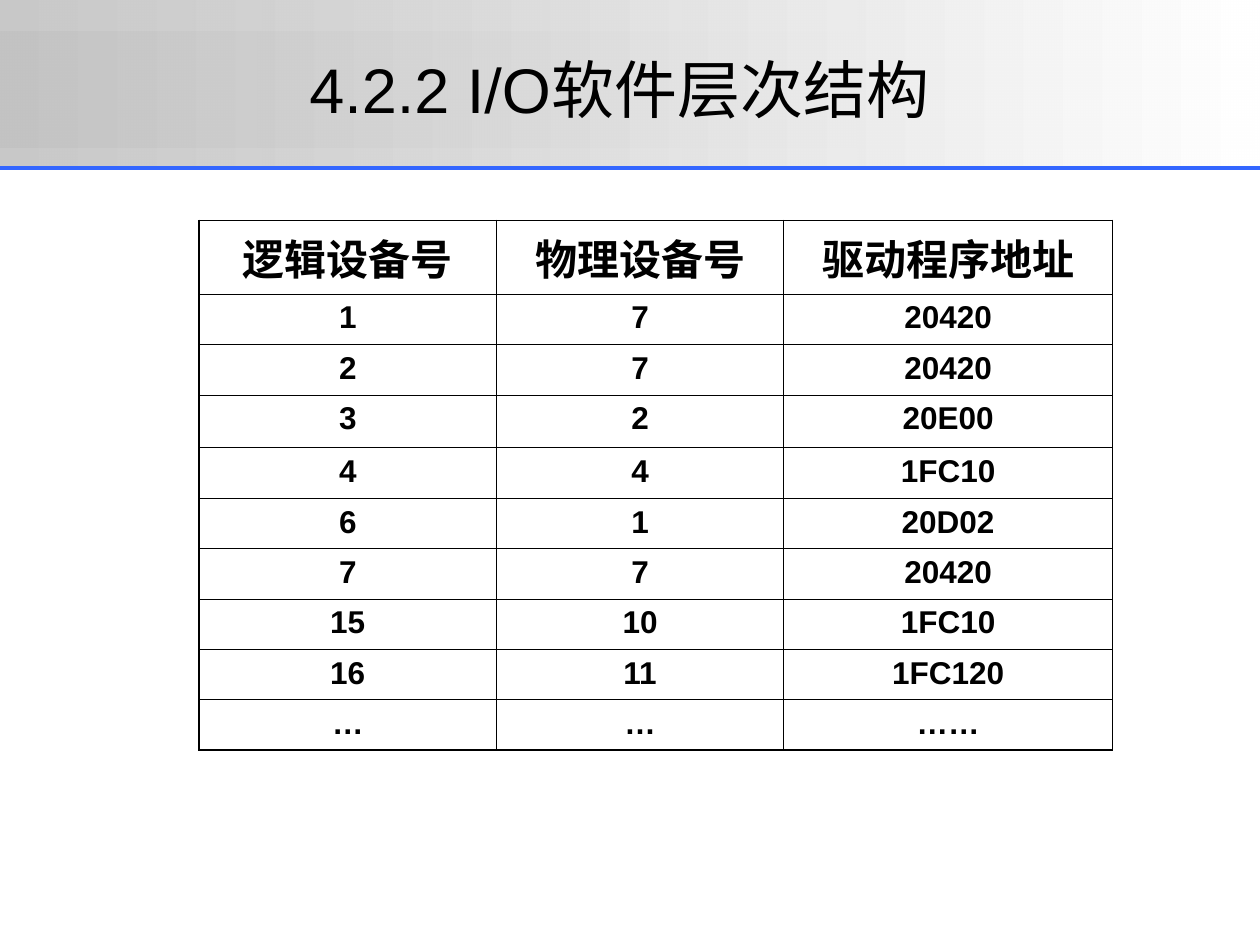
from lxml import etree
from pptx import Presentation, util as u
from pptx.dml import color
from pptx.enum import shapes, text
from pptx.oxml import ns

WIDTH, HEIGHT = 10, 7.5
INK, SILVER, WHITE, BLUE = "000000", "C0C0C0", "FFFFFF", "3366FF"
THIN, OUTER = 0.45, 1.08
COLUMNS = [2.36, 2.28, 2.61]
ROWS = [0.58, 0.4, 0.4, 0.42] + [0.4] * 6
DEVICES = [
    ("逻辑设备号", "物理设备号", "驱动程序地址"),
    ("1", "7", "20420"),
    ("2", "7", "20420"),
    ("3", "2", "20E00"),
    ("4", "4", "1FC10"),
    ("6", "1", "20D02"),
    ("7", "7", "20420"),
    ("15", "10", "1FC10"),
    ("16", "11", "1FC120"),
    ("…", "…", "……"),
]


def rgb(value):
    """Turn a hex string into a colour."""
    return color.RGBColor.from_string(value)


def add_element(parent, tag, index=None, **attributes):
    """Put a drawing element into its parent, last unless an index is given."""
    element = etree.Element(ns.qn(tag), **attributes)
    parent.insert(len(parent) if index is None else index, element)
    return element


class Deck:
    """Hold the style and the current slide."""

    def __init__(self, font="Arial"):
        """Start a presentation with one title-only slide."""
        self.font = font
        self.presentation = Presentation()
        self.presentation.slide_width = u.Inches(WIDTH)
        self.presentation.slide_height = u.Inches(HEIGHT)
        self.slide = self.presentation.slides.add_slide(self.presentation.slide_layouts[5])

    def box(self, left, top, width, height):
        """Convert shares of the slide's size into lengths."""
        return (u.Inches(left * WIDTH), u.Inches(top * HEIGHT),
                u.Inches(width * WIDTH), u.Inches(height * HEIGHT))

    def set_text(self, frame, words, size, bold=False):
        """Fill a frame with one centred paragraph."""
        frame.text = words
        paragraph = frame.paragraphs[0]
        paragraph.alignment = text.PP_ALIGN.CENTER
        paragraph.font.name = self.font
        paragraph.font.size = u.Pt(size)
        paragraph.font.bold = bold
        paragraph.font.color.rgb = rgb(INK)

    def band(self, top, height, opacity):
        """Draw a full-width band fading from silver to white."""
        band = self.slide.shapes.add_shape(
            shapes.MSO_SHAPE.RECTANGLE, *self.box(0, top, 1, height))
        band.shadow.inherit = False
        band.line.fill.background()
        band.fill.gradient()
        band.fill.gradient_angle = 0
        for stop, position, shade in zip(band.fill.gradient_stops, (0, 1), (SILVER, WHITE)):
            stop.position = position
            stop.color.rgb = rgb(shade)
        silver = band.element.spPr.find(".//" + ns.qn("a:srgbClr"))
        add_element(silver, "a:alpha", val=str(opacity * 1000))

    def rule(self, top, shade, weight):
        """Draw a line across the slide."""
        left, y, width, _ = self.box(0, top, 1, 0)
        rule = self.slide.shapes.add_connector(
            shapes.MSO_CONNECTOR.STRAIGHT, left, y, left + width, y)
        rule.line.color.rgb = rgb(shade)
        rule.line.width = u.Pt(weight)
        add_element(rule.element.spPr, "a:effectLst")

    def title(self, words, left, top, width, height):
        """Place the title in front of the bands."""
        title = self.slide.shapes.title
        title.left, title.top, title.width, title.height = self.box(left, top, width, height)
        title.text_frame.vertical_anchor = text.MSO_ANCHOR.MIDDLE
        self.set_text(title.text_frame, words, 36)
        title.element.getparent().append(title.element)

    def borders(self, cell, weights):
        """Draw the left, right, top and bottom borders of a cell."""
        properties = cell._tc.get_or_add_tcPr()
        for index, (side, weight) in enumerate(zip("LRTB", weights)):
            border = add_element(properties, f"a:ln{side}", index, w=str(u.Pt(weight)))
            add_element(add_element(border, "a:solidFill"), "a:srgbClr", val=INK)

    def table(self, records, left, top):
        """Build the ruled table with a heavier outer frame."""
        x, y, width, height = self.box(left, top, sum(COLUMNS) / WIDTH, sum(ROWS) / HEIGHT)
        table = self.slide.shapes.add_table(
            len(ROWS), len(COLUMNS), x, y, width, height).table
        table.first_row = table.horz_banding = False
        for column, size in zip(table.columns, COLUMNS):
            column.width = u.Inches(size)
        for row, size in zip(table.rows, ROWS):
            row.height = u.Inches(size)
        for r, record in enumerate(records):
            for c, words in enumerate(record):
                cell = table.cell(r, c)
                cell.fill.background()
                self.set_text(cell.text_frame, words, 18 if r else 24, bold=True)
                edges = (c == 0, c == len(COLUMNS) - 1, r == 0, r == len(ROWS) - 1)
                self.borders(cell, [OUTER if edge else THIN for edge in edges])


def main():
    """Build the slide and save it."""
    deck = Deck()
    header = 1.33 / HEIGHT
    deck.band(0, header, 86)
    deck.band(0.25 / HEIGHT, 0.92 / HEIGHT, 59)
    deck.rule(header, BLUE, 2.25)
    deck.table(DEVICES, 1.58 / WIDTH, 1.75 / HEIGHT)
    deck.title("4.2.2 I/O软件层次结构", 0.83 / WIDTH, 0.08 / HEIGHT, 8.17 / WIDTH, 1.25 / HEIGHT)
    deck.presentation.save("out.pptx")


if __name__ == "__main__":
    main()
